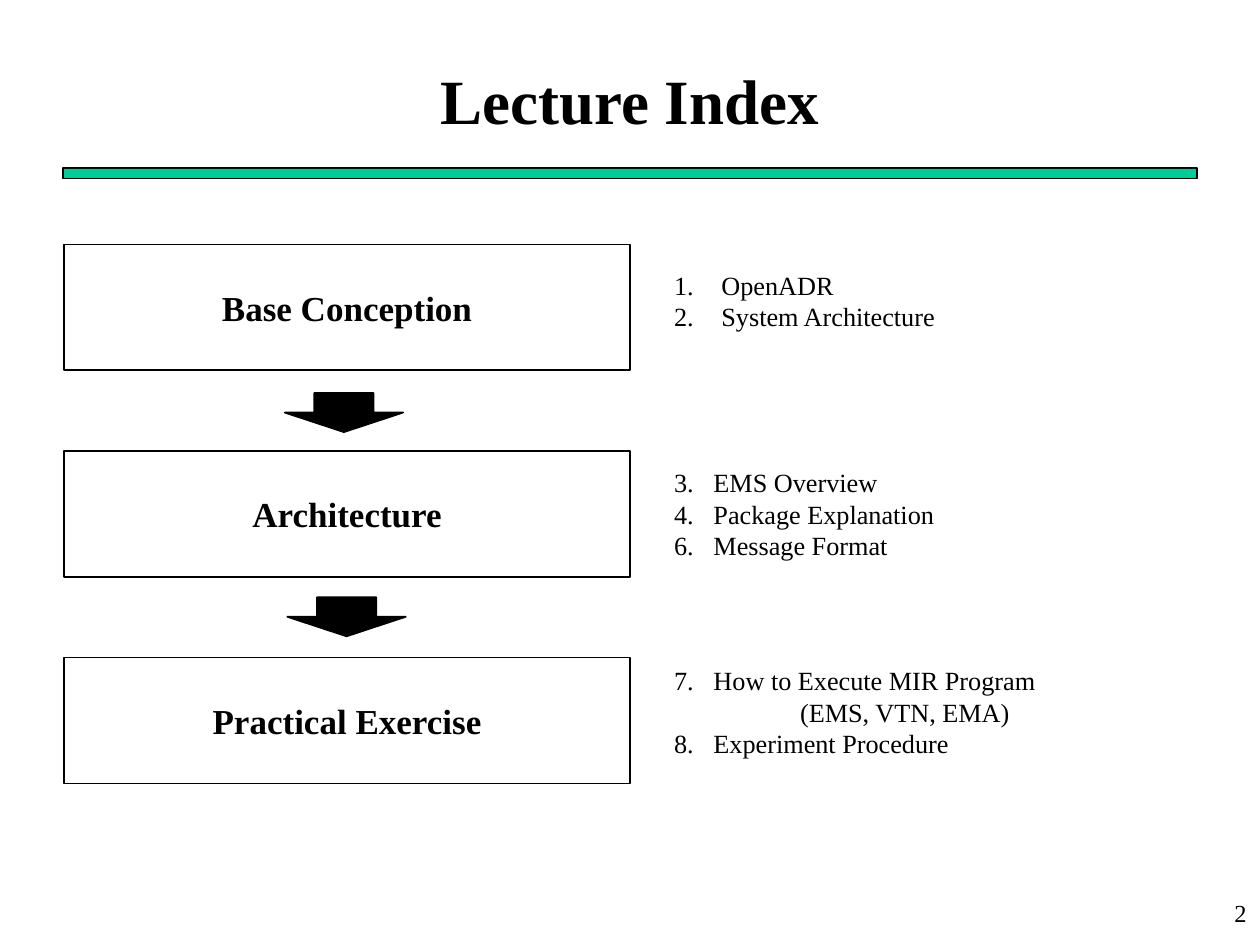
from pptx import Presentation
from pptx.dml.color import RGBColor
from pptx.enum.shapes import MSO_SHAPE as Shape
from pptx.enum.text import MSO_ANCHOR as Anchor, MSO_AUTO_SIZE as AutoSize, PP_ALIGN as Align
from pptx.oxml.xmlchemy import OxmlElement
from pptx.util import Pt

# Content: each stage has a name and its (number, topic) list
TITLE = "Lecture Index"
PAGE_NUMBER = "2"
STAGES = [
    ("Base Conception", [("1.", "OpenADR"), ("2.", "System Architecture")]),
    ("Architecture", [("3.", "EMS Overview"), ("4.", "Package Explanation"),
                      ("6.", "Message Format")]),
    ("Practical Exercise", [("7.", "How to Execute MIR Program"),
                            (None, "(EMS, VTN, EMA)"),
                            ("8.", "Experiment Procedure")]),
]


class Theme:
    font = "Times New Roman"
    ink = RGBColor(0, 0, 0)
    accent = RGBColor(0, 0xCC, 0x99)
    title, stage, topic, page = 36, 20, 15, 14


# Layout in points
BOX_LEFT, BOX_TOP, BOX_WIDTH, BOX_HEIGHT, BOX_STEP = 36.7, 139.7, 323.3, 72, 118
ARROW_WIDTH, ARROW_HEIGHT = 67.7, 22.3
ARROW_PLACES = [(162.7, 224.6), (164.2, 341.3)]
TOPIC_LEFT, TOPIC_WIDTH, TOPIC_HEIGHT = 378, 223, 62
TOPIC_TOPS = [150, 263, 376]
TOPIC_INDENTS = [27, 22.5, 22.5]
CONTINUED_INDENT = 72


def place(item, left, top, width, height):
    item.left, item.top, item.width, item.height = map(Pt, (left, top, width, height))


def write(frame, lines, size, bold=False, align=Align.LEFT, anchor=Anchor.TOP, indents=None):
    """Fill a frame with lines; indents holds (margin, first line) per line."""
    frame.word_wrap = True
    frame.auto_size = AutoSize.NONE
    frame.vertical_anchor = anchor
    for i, line in enumerate(lines):
        paragraph = frame.paragraphs[0] if i == 0 else frame.add_paragraph()
        paragraph.alignment = align
        paragraph.line_spacing = 1.0
        paragraph.space_before = paragraph.space_after = Pt(0)
        margin, first = indents[i] if indents else (0, 0)
        props = paragraph._p.get_or_add_pPr()
        props.set("marL", str(Pt(margin)))
        props.set("indent", str(Pt(first)))
        props.append(OxmlElement("a:buNone"))
        run = paragraph.add_run()
        run.text = line
        font = run.font
        font.name, font.size, font.bold = Theme.font, Pt(size), bold
        font.color.rgb = Theme.ink


def add_block(slide, kind, left, top, width, height, fill=None, line=1):
    block = slide.shapes.add_shape(kind, *map(Pt, (left, top, width, height)))
    block.shadow.inherit = False
    if fill is None:
        block.fill.background()
    else:
        block.fill.solid()
        block.fill.fore_color.rgb = fill
    block.line.color.rgb = Theme.ink
    block.line.width = Pt(line)
    return block


def main():
    deck = Presentation()
    deck.slide_width, deck.slide_height = Pt(720), Pt(540)
    slide = deck.slides.add_slide(deck.slide_layouts.get_by_name("Comparison"))

    # Heading and rule
    heading, *topic_lists, spare = slide.placeholders
    spare.element.getparent().remove(spare.element)
    place(heading, 36, 23.8, 648, 66.2)
    write(heading.text_frame, [TITLE], Theme.title, bold=True,
          align=Align.CENTER, anchor=Anchor.MIDDLE)
    add_block(slide, Shape.RECTANGLE, 36, 96, 648, 6, fill=Theme.accent, line=0.75)

    # Stages with their topics
    for i, (stage, topics) in enumerate(STAGES):
        box = add_block(slide, Shape.RECTANGLE, BOX_LEFT, BOX_TOP + i * BOX_STEP,
                        BOX_WIDTH, BOX_HEIGHT)
        write(box.text_frame, [stage], Theme.stage, bold=True,
              align=Align.CENTER, anchor=Anchor.MIDDLE)

        place(topic_lists[i], TOPIC_LEFT, TOPIC_TOPS[i], TOPIC_WIDTH, TOPIC_HEIGHT)
        hang = TOPIC_INDENTS[i]
        write(topic_lists[i].text_frame,
              [f"{number}\t{topic}" if number else topic for number, topic in topics],
              Theme.topic,
              indents=[(hang, -hang) if number else (CONTINUED_INDENT, 0)
                       for number, _ in topics])

    # Arrows between stages
    for left, top in ARROW_PLACES:
        add_block(slide, Shape.DOWN_ARROW, left, top, ARROW_WIDTH, ARROW_HEIGHT,
                  fill=Theme.ink)

    # Page number
    page = slide.shapes.add_textbox(Pt(569.5), Pt(509.8), Pt(150), Pt(30))
    write(page.text_frame, [PAGE_NUMBER], Theme.page, align=Align.RIGHT)

    deck.save("out.pptx")


if __name__ == "__main__":
    main()
